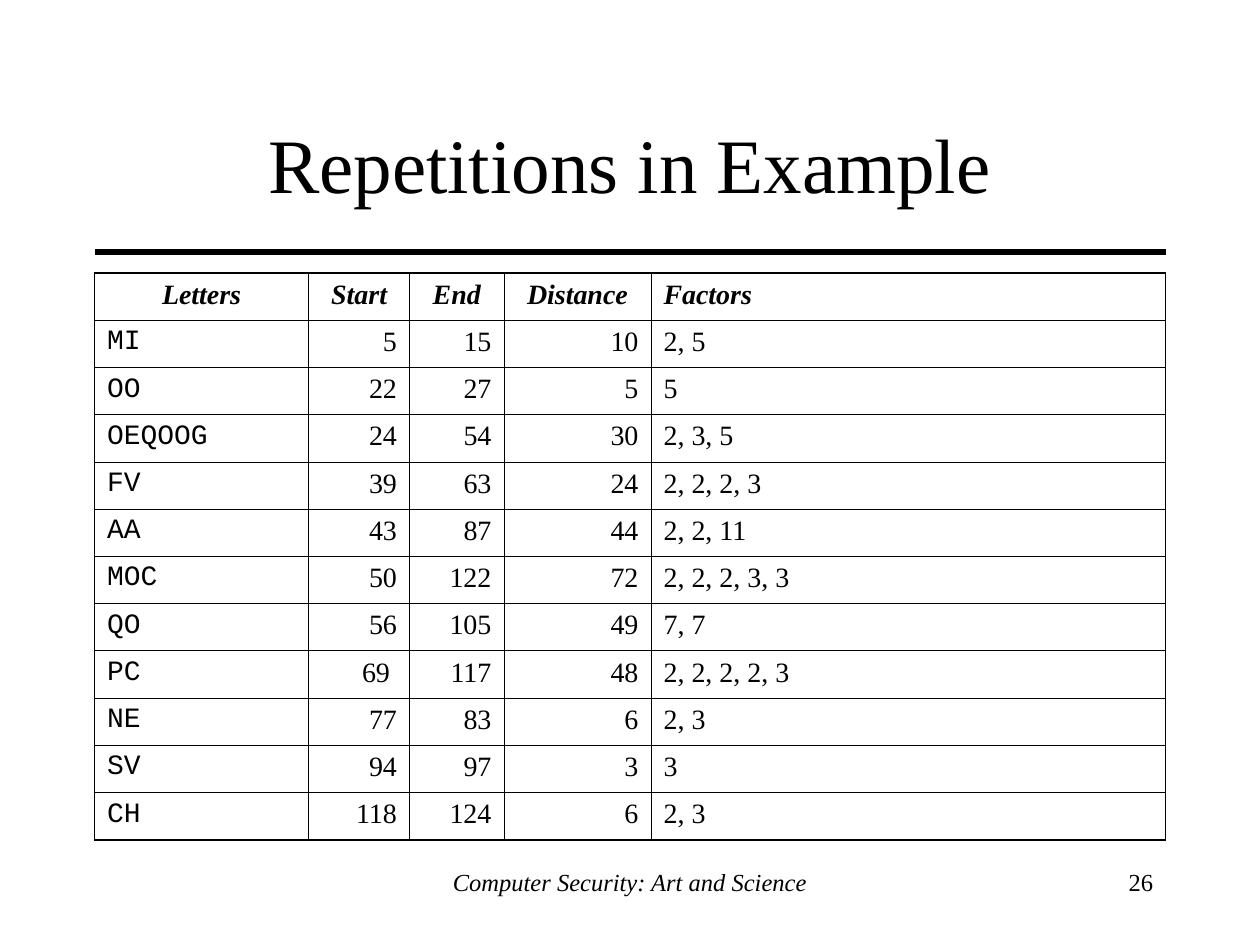
from lxml.etree import SubElement
from pptx import Presentation
from pptx.dml.color import RGBColor
from pptx.enum.shapes import MSO_CONNECTOR
from pptx.enum.text import MSO_ANCHOR as ANCHOR, PP_ALIGN as ALIGN
from pptx.oxml import parse_xml
from pptx.oxml.ns import nsdecls, qn
from pptx.util import Inches, Pt

# The slide is a grid of 120 columns by 90 rows
UNIT = Inches(10) // 120
SERIF, MONO = "Times New Roman", "Courier New"
BLACK = "000000"
THIN, THICK = 0.45, 1.08

HEADER = ["Letters", "Start", "End", "Distance", "Factors"]
COLUMNS = [20.4, 9.6, 9, 14, 49]
ALIGNS = [ALIGN.LEFT, ALIGN.RIGHT, ALIGN.RIGHT, ALIGN.RIGHT, ALIGN.LEFT]
REPETITIONS = [
    ["MI", "5", "15", "10", "2, 5"],
    ["OO", "22", "27", "5", "5"],
    ["OEQOOG", "24", "54", "30", "2, 3, 5"],
    ["FV", "39", "63", "24", "2, 2, 2, 3"],
    ["AA", "43", "87", "44", "2, 2, 11"],
    ["MOC", "50", "122", "72", "2, 2, 2, 3, 3"],
    ["QO", "56", "105", "49", "7, 7"],
    ["PC", "69 ", "117", "48", "2, 2, 2, 2, 3"],
    ["NE", "77", "83", "6", "2, 3"],
    ["SV", "94", "97", "3", "3"],
    ["CH", "118", "124", "6", "2, 3"],
]


def grid(*counts):
    return [round(n * UNIT) for n in counts]


def color(hex_code):
    return RGBColor.from_string(hex_code)


def write(tf, text, size=16, font=SERIF, align=ALIGN.LEFT, bold=False,
          italic=False, before=0):
    p = tf.paragraphs[0]
    p.alignment = align
    p.space_before = Pt(before)
    r = p.add_run()
    r.text = text
    r.font.name, r.font.size = font, Pt(size)
    r.font.bold, r.font.italic = bold, italic
    r.font.color.rgb = color(BLACK)


def add_text(slide, box, text, anchor=ANCHOR.TOP, **style):
    tf = slide.shapes.add_textbox(*grid(*box)).text_frame
    tf.word_wrap = True
    tf.vertical_anchor = anchor
    write(tf, text, **style)


def set_borders(cell, widths):
    tc_pr = cell._tc.get_or_add_tcPr()
    for i, (side, width) in enumerate(zip("LRTB", widths)):
        tc_pr.insert(i, parse_xml(
            f'<a:ln{side} {nsdecls("a")} w="{Pt(width)}"><a:solidFill>'
            f'<a:srgbClr val="{BLACK}"/></a:solidFill></a:ln{side}>'))


def add_heading(slide, box):
    left, top, width, height = box
    add_text(slide, (left, top, width, height - 1), "Repetitions in Example",
             anchor=ANCHOR.MIDDLE, size=44, align=ALIGN.CENTER)
    # Rule along the bottom of the box
    y = top + height
    rule = slide.shapes.add_connector(
        MSO_CONNECTOR.STRAIGHT, *grid(left, y, left + width, y))
    rule.line.color.rgb = color(BLACK)
    rule.line.width = Pt(3)
    SubElement(rule._element.spPr, qn("a:effectLst"))


def add_repetitions(slide, box):
    rows = [HEADER] + REPETITIONS
    last_row, last_col = len(rows) - 1, len(HEADER) - 1
    table = slide.shapes.add_table(len(rows), len(HEADER), *grid(*box)).table
    table.horz_banding = False
    for column, width in zip(table.columns, grid(*COLUMNS)):
        column.width = width
    for row in table.rows:
        row.height, = grid(box[3] / len(rows))

    for i, values in enumerate(rows):
        for j, value in enumerate(values):
            cell = table.cell(i, j)
            cell.fill.background()
            head = i == 0
            align = ALIGN.CENTER if head and j < last_col else ALIGNS[j]
            write(cell.text_frame, value, align=align, before=4,
                  font=MONO if j == 0 and not head else SERIF,
                  bold=head, italic=head)
            # Outer edges are thicker than inner ones
            outer = (j == 0, j == last_col, head, i == last_row)
            set_borders(cell, [THICK if edge else THIN for edge in outer])


def add_footer(slide, box):
    left, top, width, height = box
    add_text(slide, (left + 32, top, 38, height),
             "Computer Security: Art and Science",
             size=14, align=ALIGN.CENTER, italic=True)
    add_text(slide, (left + width - 25, top, 25, height), "26",
             size=14, align=ALIGN.RIGHT)


def main():
    prs = Presentation()
    prs.slide_width, prs.slide_height = grid(120, 90)
    slide = prs.slides.add_slide(prs.slide_layouts[6])
    add_heading(slide, (9, 8, 102, 16))
    add_repetitions(slide, (9, 26, 102, 54))
    add_footer(slide, (9, 82, 102, 6))
    prs.save("out.pptx")


if __name__ == "__main__":
    main()
